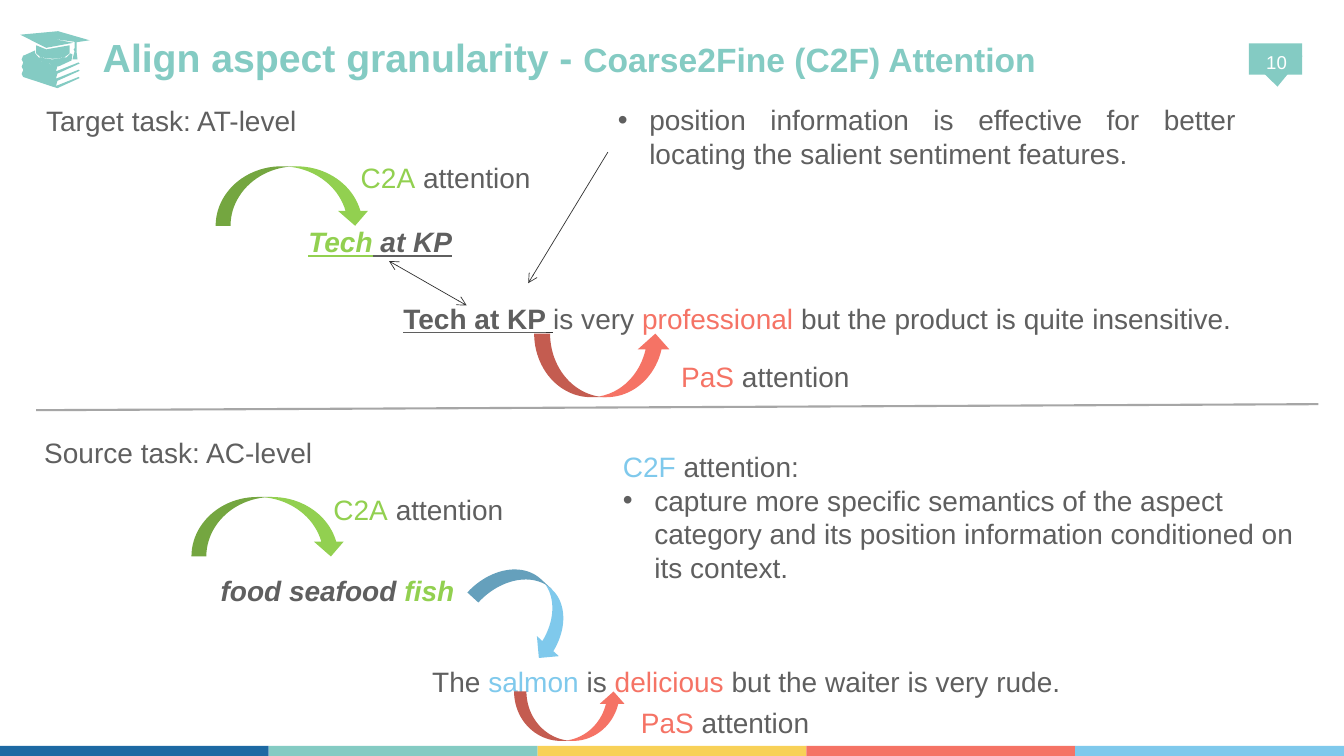
from lxml.etree import SubElement
from pptx import Presentation
from pptx.dml.color import RGBColor
from pptx.enum.shapes import MSO_CONNECTOR, MSO_SHAPE
from pptx.enum.text import MSO_ANCHOR, MSO_AUTO_SIZE, PP_ALIGN
from pptx.oxml.ns import qn
from pptx.util import Pt

TEAL, CORAL, SKY, LIME = "84CBC3", "F57365", "7FC9EC", "92D050"
GRAY, DARK, WHITE = "5F5F5F", "333333", "FFFFFF"
BANDS = ["1D69A3", TEAL, "F8D158", CORAL, SKY]

BOOK = [(40, 51), (41, 47.5), (16.6, 39.6), (15.5, 42.5), (16.6, 44.6),
        (41, 52.6), (56.9, 45.4), (56.2, 44.6)]
COVER = [(41.8, 47.5), (51.1, 43.2), (51.8, 38.9), (50.4, 38.2), (47.5, 41),
         (37.4, 42.5), (27.5, 41), (25.2, 38.2), (25.2, 36), (17.3, 39.6)]
BOARD = [(64, 28.8), (41.5, 22.3), (14.5, 24.8), (33, 34.2), (52.3, 30.6),
         (36.5, 27.5), (53.3, 29.9), (53.3, 34.6), (52.6, 35.3), (53.3, 36.7),
         (51.8, 42.5), (55.4, 42.5), (54.7, 36.7), (54.7, 30.2)]
CROWN = [(49.7, 32.4), (49.7, 38.2), (46, 41), (37.8, 42), (29, 41),
         (25.9, 38.2), (25.9, 32.4), (33, 35.3)]


def paint(item, color):
    item.fill.solid()
    item.fill.fore_color.rgb = RGBColor.from_string(color)
    item.line.fill.background()
    item.shadow.inherit = False


def add_shape(slide, kind, box, color, turn=0, flip=False):
    item = slide.shapes.add_shape(kind, *map(Pt, box))
    paint(item, color)
    item.rotation = turn
    if flip:
        item._element.spPr.get_or_add_xfrm().set("flipV", "1")


def add_arc(slide, box, color, turn=0, flip=False):
    add_shape(slide, MSO_SHAPE.CURVED_UP_ARROW, box, color, turn, flip)


def add_run(para, text, color=GRAY, style="", size=20, font="Arial"):
    run = para.add_run()
    run.text = text
    run.font.name = font
    run.font.size = Pt(size)
    run.font.bold = "b" in style
    run.font.italic = "i" in style
    run.font.underline = "u" in style
    run.font.color.rgb = RGBColor.from_string(color)


def add_text(slide, box, runs, wrap=False, align=PP_ALIGN.LEFT):
    frame = slide.shapes.add_textbox(*map(Pt, box)).text_frame
    frame.word_wrap = wrap
    frame.auto_size = MSO_AUTO_SIZE.SHAPE_TO_FIT_TEXT
    para = frame.paragraphs[0]
    para.alignment = align
    for run in runs:
        add_run(para, *run)
    return frame


def add_bullet(para):
    props = para._p.get_or_add_pPr()
    props.set("marL", str(Pt(22.5)))
    props.set("indent", str(Pt(-22.5)))
    SubElement(props, qn("a:buFont")).set("typeface", "Arial")
    SubElement(props, qn("a:buChar")).set("char", "•")


def add_line(slide, start, end, color, width, heads=()):
    line = slide.shapes.add_connector(
        MSO_CONNECTOR.STRAIGHT, *map(Pt, start + end))
    line.line.color.rgb = RGBColor.from_string(color)
    line.line.width = Pt(width)
    for head in heads:
        SubElement(line.line._get_or_add_ln(), qn(head)).set("type", "arrow")
    SubElement(line._element.spPr, qn("a:effectLst"))


def add_icon(slide):
    books = [[(x, y + 5.2 * step) for x, y in BOOK] for step in range(3)]
    pen = None
    for path in books + [COVER, BOARD, CROWN]:
        first, *rest = [(Pt(x), Pt(y)) for x, y in path]
        if pen is None:
            pen = slide.shapes.build_freeform(*first, scale=1.0)
        else:
            pen.move_to(*first)
        pen.add_line_segments(rest, close=True)
    paint(pen.convert_to_shape(), TEAL)


def add_title(slide):
    title = slide.shapes.title
    title.left, title.top, title.width, title.height = map(
        Pt, (66.2, 28.8, 856.8, 27.4))
    frame = title.text_frame
    frame.auto_size = MSO_AUTO_SIZE.NONE
    frame.vertical_anchor = MSO_ANCHOR.MIDDLE
    para = frame.paragraphs[0]
    para.alignment = PP_ALIGN.LEFT
    para.line_spacing = 0.9
    add_run(para, "Align aspect granularity - ", TEAL, "b", 28)
    add_run(para, "Coarse2Fine (C2F) Attention", TEAL, "b", 24)


def add_frame(slide):
    add_shape(slide, MSO_SHAPE.RECTANGLE, (892, 31, 38.2, 22.3), TEAL)
    add_shape(slide, MSO_SHAPE.ISOSCELES_TRIANGLE,
              (892.8, 41, 38.2, 20.9), TEAL, 176.8)
    frame = add_text(slide, (894.2, 28.8, 35.3, 36.7),
                     [("10", WHITE, "", 13.3)], True, PP_ALIGN.CENTER)
    frame.auto_size = MSO_AUTO_SIZE.NONE
    frame.vertical_anchor = MSO_ANCHOR.MIDDLE
    frame.margin_left = frame.margin_right = frame.margin_top = 0
    frame.margin_bottom = Pt(5)
    for i, color in enumerate(BANDS):
        add_shape(slide, MSO_SHAPE.RECTANGLE, (192 * i, 532.8, 192, 7.2), color)
    add_icon(slide)


def add_label(slide, left, top, name, color):
    add_text(slide, (left, top, 136, 31.5),
             [(name, color), (" attention",)])


def add_target(slide):
    add_text(slide, (25.9, 70.6, 194.4, 31.5), [("Target task: AT-level",)])
    add_arc(slide, (154.1, 118.8, 110.2, 42.5), LIME, flip=True)
    add_label(slide, 250.6, 110.9, "C2A", LIME)
    add_text(slide, (213.1, 157, 118, 31.5),
             [("Tech", LIME, "biu"), (" at KP", GRAY, "biu")])
    add_text(slide, (277.9, 211.7, 612, 31.5), [
        ("Tech at KP", GRAY, "bu"),
        (" ", DARK, "u", 20, "Times New Roman"),
        ("is very ",),
        ("professional ", CORAL),
        ("but the product is quite insensitive.",),
    ], True, PP_ALIGN.CENTER)
    add_arc(slide, (381.6, 238.3, 97.9, 45.4), CORAL)
    add_label(slide, 479.5, 253.4, "PaS", CORAL)
    note = add_text(slide, (434.2, 69.8, 455.8, 55.4), [
        ("position information is effective for better locating "
         "the salient sentiment features.",)], True, PP_ALIGN.JUSTIFY)
    add_bullet(note.paragraphs[0])
    add_line(slide, (333.4, 218.2), (277.9, 186.5), DARK, 0.5,
             ("a:headEnd", "a:tailEnd"))
    add_line(slide, (434.2, 108.7), (377.3, 202.3), DARK, 0.5, ("a:tailEnd",))


def add_source(slide):
    add_text(slide, (24.5, 307.4, 207.4, 31.5), [("Source task: AC-level",)])
    add_arc(slide, (136.8, 355, 110.2, 42.5), LIME, flip=True)
    add_label(slide, 231.1, 348.5, "C2A", LIME)
    add_text(slide, (150.5, 406.1, 182.9, 31.5),
             [("food seafood ", GRAY, "bi"), ("fish", LIME, "bi")])
    add_arc(slide, (337.7, 413.3, 79.9, 42.5), SKY, 42.5, True)
    add_text(slide, (301.7, 470.9, 472.3, 31.5), [
        ("The ",), ("salmon", SKY), (" is ",), ("delicious", CORAL),
        (" but the waiter is very rude.",)])
    add_arc(slide, (367.2, 493.9, 79.9, 35.3), CORAL)
    add_label(slide, 450.7, 500.4, "PaS", CORAL)
    note = add_text(slide, (437.8, 317.5, 500.4, 104.4),
                    [("C2F", SKY), (" attention:",)], True)
    para = note.add_paragraph()
    add_bullet(para)
    add_run(para, "capture more specific semantics of the aspect category and "
                  "its position information conditioned on its context.")


def main():
    deck = Presentation()
    deck.slide_width, deck.slide_height = Pt(960), Pt(540)
    slide = deck.slides.add_slide(deck.slide_layouts[5])
    add_frame(slide)
    add_title(slide)
    add_source(slide)
    add_target(slide)
    add_line(slide, (25.9, 293), (941.8, 288.7), "A6A6A6", 1.5)
    deck.save("out.pptx")


if __name__ == "__main__":
    main()
